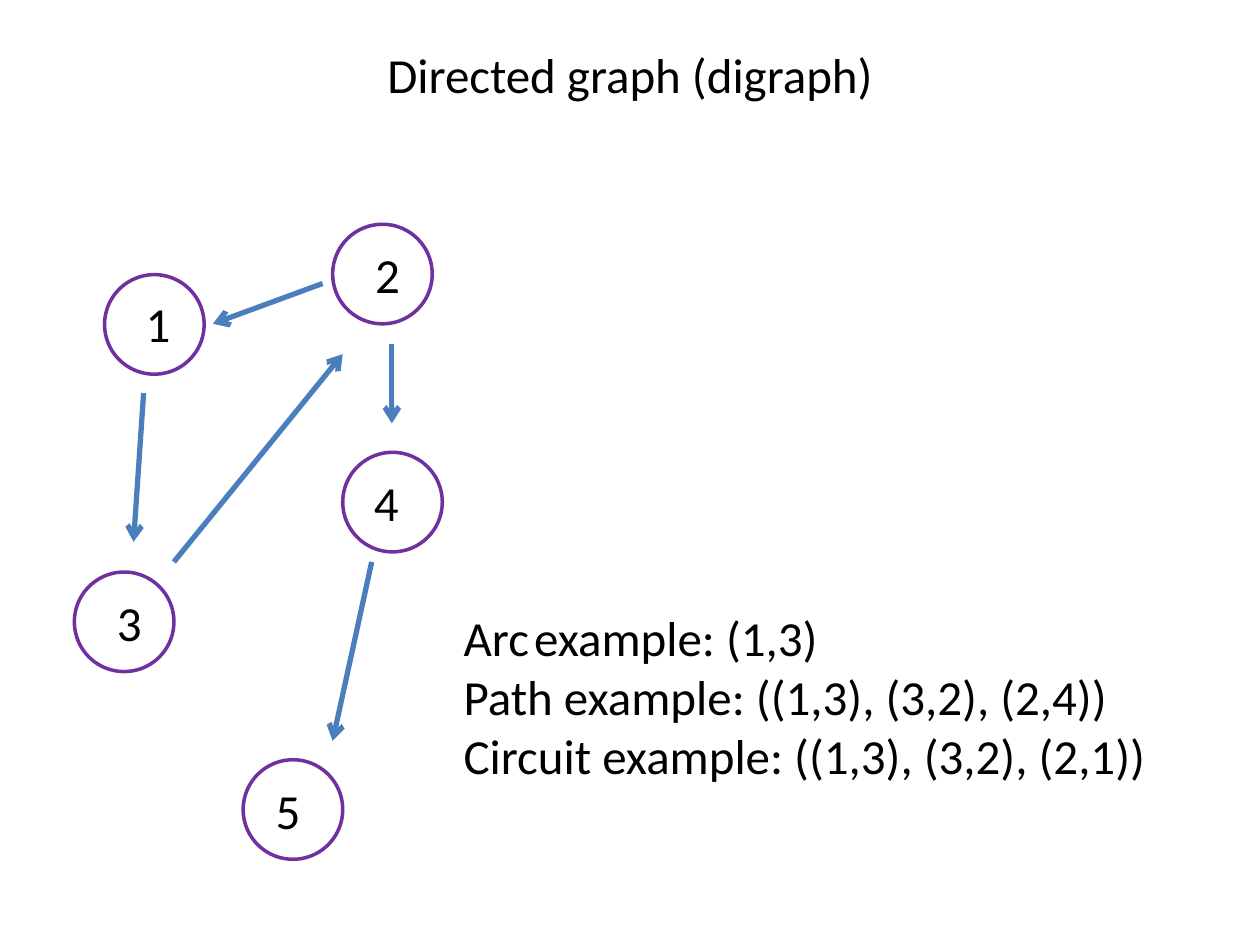
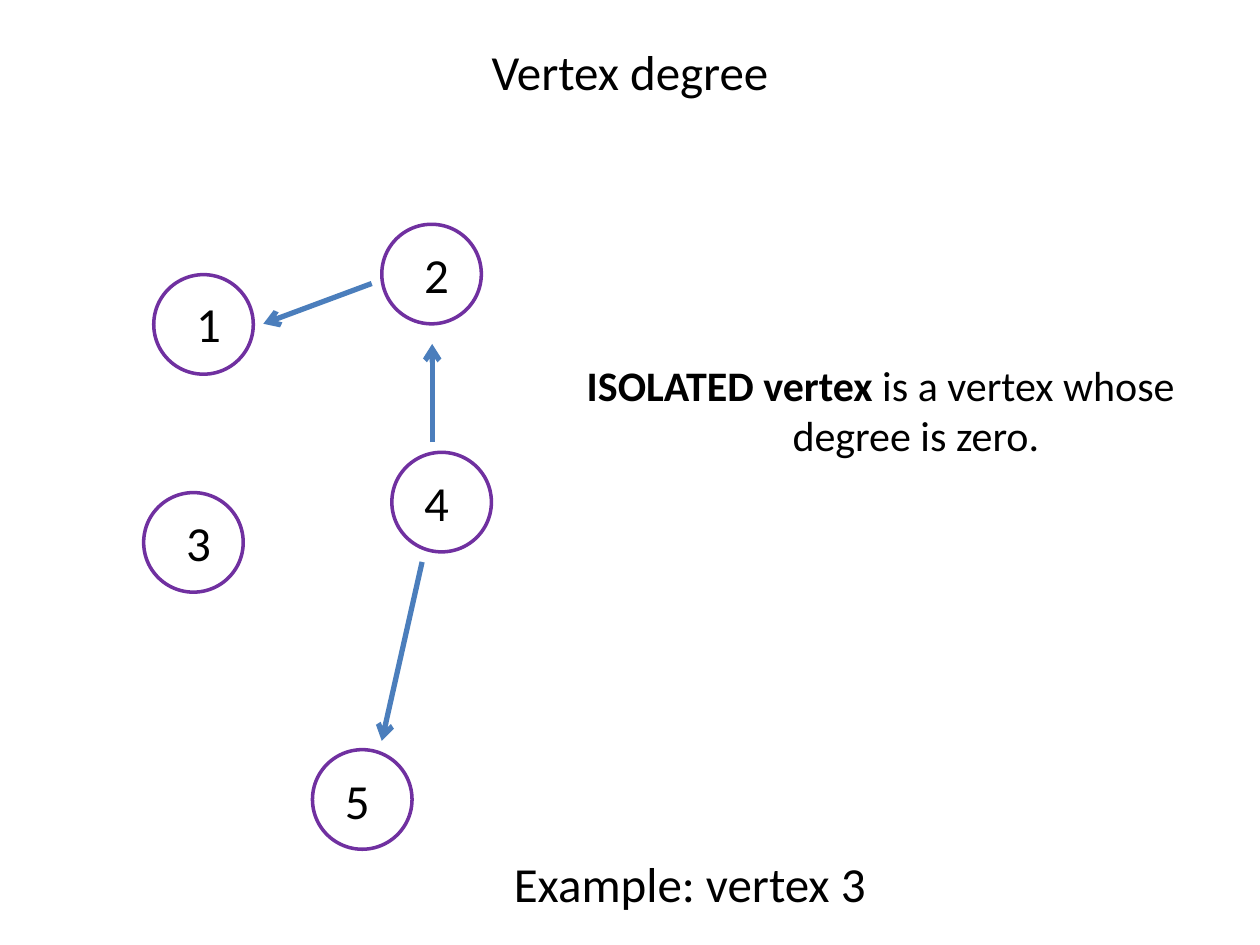
from lxml.etree import SubElement
from pptx import Presentation
from pptx.dml.color import RGBColor
from pptx.enum.shapes import MSO_CONNECTOR, MSO_SHAPE
from pptx.enum.text import MSO_ANCHOR, MSO_AUTO_SIZE, PP_ALIGN
from pptx.oxml.ns import qn
from pptx.util import Pt

PX = 9144
SIZE = (1000, 750)
NODE = 79
LABEL = (39, 63)
INDENT = 56
FACE = "Calibri"
HUE = {"ink": "000000", "paper": "FFFFFF", "ring": "7030A0", "arc": "4B7EBC"}
LEFT, MID = PP_ALIGN.LEFT, PP_ALIGN.CENTER

# Each node: name, circle corner, label corner; each arc: start, end.
SLIDES = [
    {
        "title": ("Directed graph (digraph)", (0, 0, 1000, 118)),
        "nodes": [
            ("1", (83, 218), (106, 225)),
            ("2", (264, 178), (288, 186)),
            ("4", (272, 359), (287, 367)),
            ("3", (59, 454), (83, 462)),
            ("5", (193, 603), (209, 611)),
        ],
        "arcs": [
            (256, 225, 169, 257),
            (114, 312, 106, 430),
            (138, 446, 272, 281),
            (311, 273, 311, 336),
            (295, 446, 264, 588),
        ],
        "body": {
            "box": (358, 454, 618, 197), "size": 28, "align": LEFT,
            "lines": [
                [("Arc\texample: (1,3)", False)],
                [("Path example: ((1,3), (3,2), (2,4))", False)],
                [("Circuit example: ((1,3), (3,2), (2,1))", False)],
            ],
        },
        "notes": [],
    },
    {
        "title": ("Vertex degree", (0, -3, 1000, 118)),
        "nodes": [
            ("1", (122, 218), (146, 225)),
            ("2", (303, 178), (327, 186)),
            ("4", (311, 359), (327, 367)),
            ("5", (248, 595), (264, 603)),
            ("3", (114, 391), (138, 399)),
        ],
        "arcs": [
            (295, 225, 209, 257),
            (343, 351, 343, 273),
            (335, 446, 303, 588),
        ],
        "body": {
            "box": (451, 250, 496, 150), "size": 24, "align": MID,
            "lines": [[("ISOLATED vertex ", True),
                       ("is a vertex whose degree is zero.", False)]],
        },
        "notes": [("Example: vertex 3", (398, 673, 602, 56))],
    },
]


def emu(*nums):
    return [num * PX for num in nums]


def tint(name):
    return RGBColor.from_string(HUE[name])


def place(shape, box):
    shape.left, shape.top, shape.width, shape.height = emu(*box)


def write(shape, lines, size=28, align=MID, hang=0):
    frame = shape.text_frame
    frame.word_wrap = True
    frame.auto_size = MSO_AUTO_SIZE.NONE
    frame.vertical_anchor = MSO_ANCHOR.MIDDLE
    for pos, line in enumerate(lines):
        para = frame.add_paragraph() if pos else frame.paragraphs[0]
        props = para._p.get_or_add_pPr()
        props.set("marL", str(hang * PX))
        props.set("indent", str(-hang * PX))
        para.alignment = align
        para.space_before = Pt(0)
        SubElement(props, qn("a:buNone"))
        font = para.font
        font.name, font.size = FACE, Pt(size)
        font.color.rgb = tint("ink")
        for text, bold in line:
            run = para.add_run()
            run.text = text
            if bold:
                run.font.bold = True


def draw_node(shapes, spot):
    ring = shapes.add_shape(MSO_SHAPE.OVAL, *emu(*spot, NODE, NODE))
    ring.shadow.inherit = False
    ring.fill.solid()
    ring.fill.fore_color.rgb = tint("paper")
    ring.line.color.rgb = tint("ring")
    ring.line.width = Pt(2)


def draw_arc(shapes, ends):
    arc = shapes.add_connector(MSO_CONNECTOR.STRAIGHT, *emu(*ends))
    arc.line.color.rgb = tint("arc")
    arc.line.width = Pt(3)
    SubElement(arc.line._get_or_add_ln(), qn("a:tailEnd"), type="arrow")
    SubElement(arc._element.spPr, qn("a:effectLst"))


def add_text(shapes, text, box, margin=True, **style):
    area = shapes.add_textbox(*emu(*box))
    if not margin:
        area.text_frame.margin_left = area.text_frame.margin_right = 0
    write(area, [[(text, False)]], **style)


def build(deck, data):
    slide = deck.slides.add_slide(deck.slide_layouts[1])
    shapes = slide.shapes
    text, box = data["title"]
    place(shapes.title, box)
    write(shapes.title, [[(text, False)]])
    body, part = slide.placeholders[1], data["body"]
    place(body, part["box"])
    write(body, part["lines"], part["size"], part["align"], INDENT)
    for name, spot, mark in data["nodes"]:
        draw_node(shapes, spot)
        add_text(shapes, name, mark + LABEL, margin=False)
    for ends in data["arcs"]:
        draw_arc(shapes, ends)
    for text, box in data["notes"]:
        add_text(shapes, text, box, align=LEFT, hang=INDENT)


def main():
    """Build the two graph theory slides."""
    deck = Presentation()
    deck.slide_width, deck.slide_height = emu(*SIZE)
    for data in SLIDES:
        build(deck, data)
    deck.save("out.pptx")


if __name__ == "__main__":
    main()
